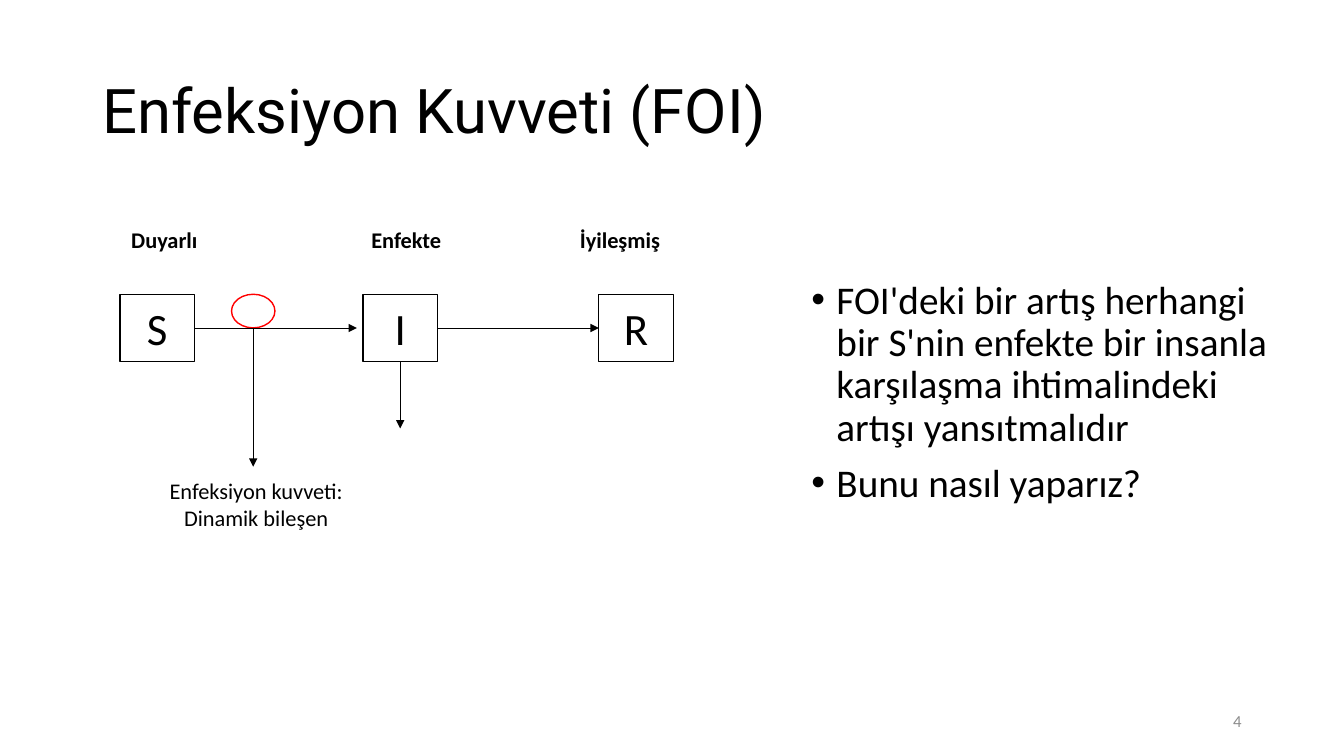
from lxml import etree
from pptx import Presentation
from pptx.dml.color import RGBColor
from pptx.enum.shapes import MSO_CONNECTOR, MSO_SHAPE
from pptx.enum.text import MSO_ANCHOR, PP_ALIGN
from pptx.oxml.ns import qn
from pptx.util import Pt

RECT, OVAL = MSO_SHAPE.RECTANGLE, MSO_SHAPE.OVAL
LINE = MSO_CONNECTOR.STRAIGHT
TOP, MID = MSO_ANCHOR.TOP, MSO_ANCHOR.MIDDLE
LEFT, MIDDLE, RIGHT = PP_ALIGN.LEFT, PP_ALIGN.CENTER, PP_ALIGN.RIGHT
HEX = {"ink": "000000", "paper": "FFFFFF", "ring": "FF0000", "gray": "8C8C8C"}
RGB = {name: RGBColor.from_string(code) for name, code in HEX.items()}

deck = Presentation()
deck.slide_width, deck.slide_height = Pt(960), Pt(540)
slide = deck.slides.add_slide(deck.slide_layouts[6])
shapes = slide.shapes


def write(shape, lines, size, align=MIDDLE, anchor=MID, ink="ink",
          bullet=False, font="Calibri", bold=False, **form):
    frame = shape.text_frame
    frame.word_wrap = True
    frame.vertical_anchor = anchor
    for i, line in enumerate(lines):
        para = frame.paragraphs[0] if i == 0 else frame.add_paragraph()
        para.text = line
        para.alignment = align
        if bullet:
            props = para._p.get_or_add_pPr()
            props.set("marL", str(Pt(18)))
            props.set("indent", str(-Pt(18)))
            etree.SubElement(props, qn("a:buFont")).set("typeface", "Arial")
            etree.SubElement(props, qn("a:buChar")).set("char", "•")
            if i:
                para.space_before = Pt(10)
        for key, value in form.items():
            setattr(para, key, value)
        look = {"name": font, "size": Pt(size), "bold": bold}
        for key, value in look.items():
            setattr(para.font, key, value)
        para.font.color.rgb = RGB[ink]


def block(kind, x, y, w, h, fill=None, edge=None):
    shape = shapes.add_shape(kind, Pt(x), Pt(y), Pt(w), Pt(h))
    shape.shadow.inherit = False
    if fill:
        shape.fill.solid()
        shape.fill.fore_color.rgb = RGB[fill]
    else:
        shape.fill.background()
    if edge:
        shape.line.color.rgb = RGB[edge]
        shape.line.width = Pt(1)
    else:
        shape.line.fill.background()
    return shape


title = shapes.add_textbox(Pt(66), Pt(28.8), Pt(828), Pt(104.4))
write(title, ["Enfeksiyon Kuvveti (FOI)"], 44, LEFT, font="Roboto",
      line_spacing=0.9)
number = shapes.add_textbox(Pt(678), Pt(500.5), Pt(216), Pt(28.75))
write(number, ["4"], 12, RIGHT, ink="gray")

states = [("S", 85.7, "Duyarlı", 69.2), ("I", 259.2, "Enfekte", 242),
          ("R", 427.7, "İyileşmiş", 394.6)]
boxes = {}
for mark, x, label, left in states:
    boxes[mark] = block(RECT, x, 210.2, 53.3, 48.2, "paper", "ink")
    write(boxes[mark], [mark], 32)
    write(block(RECT, left, 147, 96.5, 48.2, "paper"), [label], 16, bold=True)

block(OVAL, 165.4, 210.2, 31, 24, edge="ring")
force = block(RECT, 103, 336.2, 160, 48.2, "paper")
write(force, ["Enfeksiyon kuvveti: Dinamik bileşen"], 16)

arrows = [
    (139, 234.3, 254.9, 234.3, ("S", 3), None),
    (312.5, 234.3, 427.7, 234.3, ("I", 3), ("R", 1)),
    (285.85, 258.4, 285.85, 306, ("I", 2), None),
    (180.9, 234.3, 180.9, 333.4, None, None),
]
for x1, y1, x2, y2, start, end in arrows:
    arrow = shapes.add_connector(LINE, Pt(x1), Pt(y1), Pt(x2), Pt(y2))
    if start:
        arrow.begin_connect(boxes[start[0]], start[1])
    if end:
        arrow.end_connect(boxes[end[0]], end[1])
    arrow.line.color.rgb = RGB["ink"]
    arrow.line.width = Pt(0.5)
    tip = etree.SubElement(arrow.line._get_or_add_ln(), qn("a:tailEnd"))
    tip.set("type", "triangle")
    etree.SubElement(arrow._element.spPr, qn("a:effectLst"))

notes = [
    "FOI'deki bir artış herhangi bir S'nin enfekte bir insanla "
    "karşılaşma ihtimalindeki artışı yansıtmalıdır",
    "Bunu nasıl yaparız?",
]
body = shapes.add_textbox(Pt(572.4), Pt(196.6), Pt(347), Pt(290))
write(body, notes, 28, LEFT, TOP, bullet=True, line_spacing=0.9)

deck.save("out.pptx")
